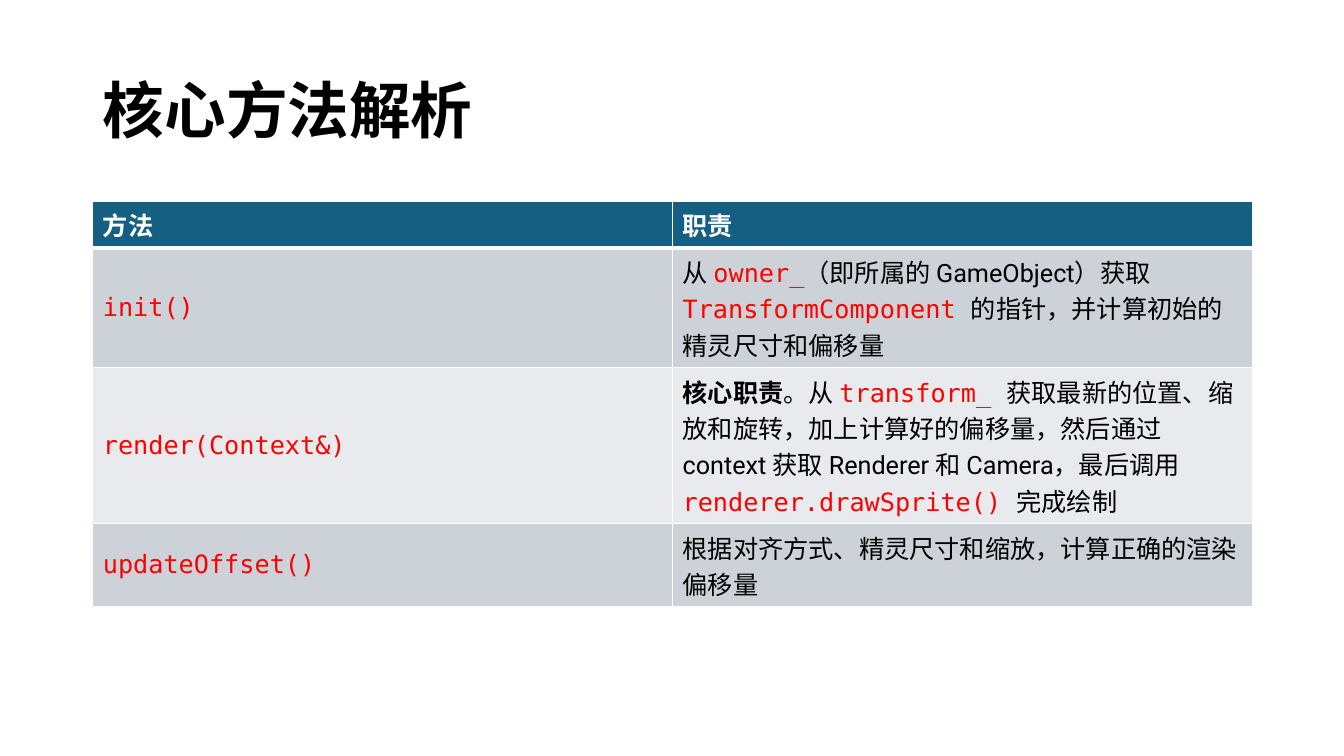
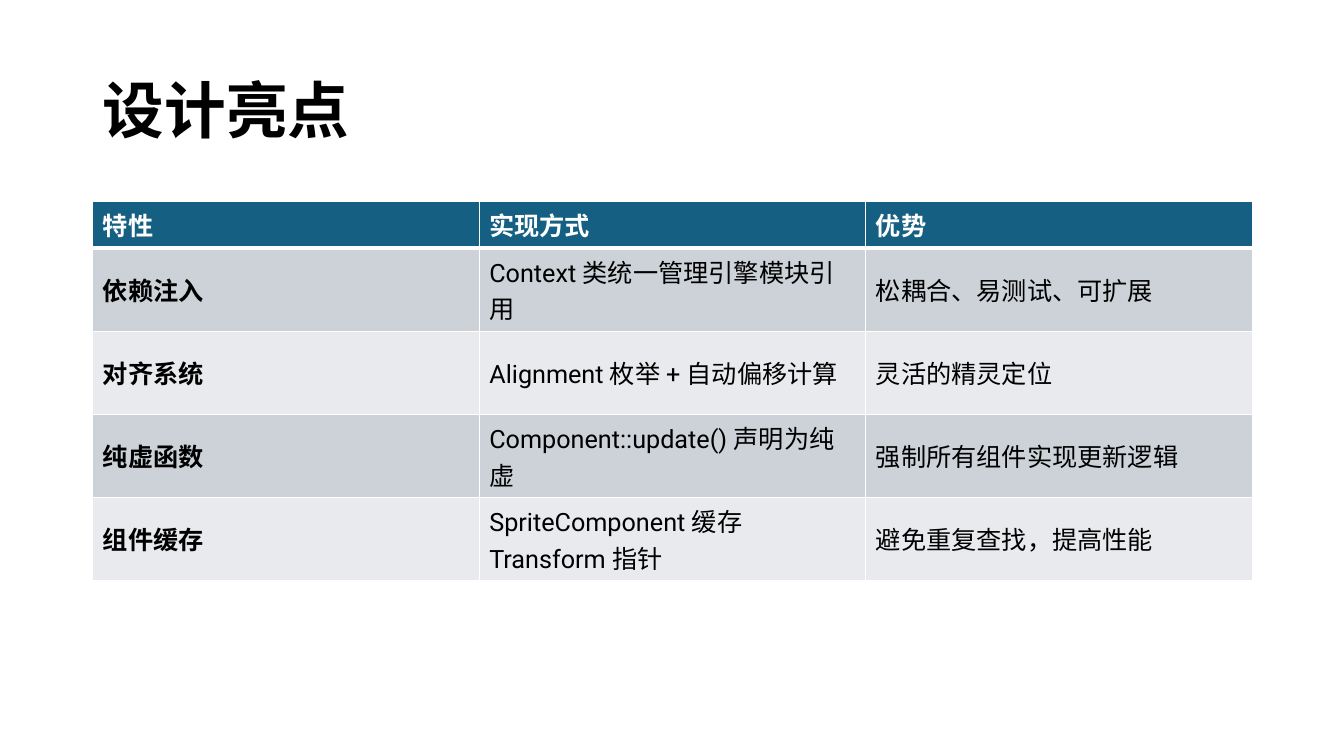
from lxml.etree import SubElement
from pptx import Presentation
from pptx.dml.color import RGBColor
from pptx.enum.text import MSO_ANCHOR, PP_ALIGN
from pptx.oxml.ns import qn
from pptx.util import Inches, Pt

WHITE = RGBColor(0xFF, 0xFF, 0xFF)
BLACK = RGBColor(0, 0, 0)
RED = RGBColor(0xFF, 0, 0)
HEADER_BLUE = RGBColor(0x15, 0x60, 0x82)
BANDS = (RGBColor(0xCC, 0xD2, 0xD8), RGBColor(0xE8, 0xEA, 0xED))

TEXT_FONT = "Roboto"
STYLES = {
    "title": {"name": TEXT_FONT, "size": Pt(44), "bold": True},
    "header": {"name": TEXT_FONT, "size": Pt(18), "bold": True},
    "plain": {"name": TEXT_FONT, "size": Pt(18), "bold": False},
    "strong": {"name": TEXT_FONT, "size": Pt(18), "bold": True},
    "code": {"name": "DejaVu Sans Mono", "size": Pt(18), "bold": False},
}
COLORS = {"title": BLACK, "header": WHITE, "plain": BLACK, "strong": BLACK, "code": RED}

LEFT, WIDTH = Inches(0.92), Inches(11.5)
TITLE_TOP, TITLE_HEIGHT = Inches(0.4), Inches(1.45)
TABLE_TOP, ROW_HEIGHT = Inches(2), Inches(0.41)

SLIDES = [
    {
        "title": "核心方法解析",
        "header": ["方法", "职责"],
        "first_style": "code",
        "rows": [
            ["init()", [
                ("从 ", "plain"),
                ("owner_", "code"),
                ("（即所属的 GameObject）获取 ", "plain"),
                ("TransformComponent ", "code"),
                ("的指针，并计算初始的精灵尺寸和偏移量", "plain"),
            ]],
            ["render(Context&)", [
                ("核心职责", "strong"),
                ("。从 ", "plain"),
                ("transform_ ", "code"),
                ("获取最新的位置、缩放和旋转，加上计算好的偏移量，然后通过 context 获取 Renderer 和 Camera，最后调用 ", "plain"),
                ("renderer.drawSprite() ", "code"),
                ("完成绘制", "plain"),
            ]],
            ["updateOffset()", "根据对齐方式、精灵尺寸和缩放，计算正确的渲染偏移量"],
        ],
    },
    {
        "title": "设计亮点",
        "header": ["特性", "实现方式", "优势"],
        "first_style": "strong",
        "rows": [
            ["依赖注入", "Context 类统一管理引擎模块引用", "松耦合、易测试、可扩展"],
            ["对齐系统", "Alignment 枚举 + 自动偏移计算", "灵活的精灵定位"],
            ["纯虚函数", "Component::update() 声明为纯虚", "强制所有组件实现更新逻辑"],
            ["组件缓存", "SpriteComponent 缓存 Transform 指针", "避免重复查找，提高性能"],
        ],
    },
]


def write(frame, content, style):
    spans = [(content, style)] if isinstance(content, str) else content
    para = frame.paragraphs[0]
    for text, span_style in spans:
        span = para.add_run()
        span.text = text
        for key, value in STYLES[span_style].items():
            setattr(span.font, key, value)
        span.font.color.rgb = COLORS[span_style]
    return para


def add_borders(cell, row):
    properties = cell._tc.get_or_add_tcPr()
    widths = {"lnL": 1, "lnR": 1, "lnT": 3 if row == 1 else 1, "lnB": 3 if row == 0 else 1}
    for side, width in widths.items():
        line = SubElement(properties, qn("a:" + side), w=str(Pt(width)))
        fill = SubElement(line, qn("a:solidFill"))
        SubElement(fill, qn("a:srgbClr"), val=str(WHITE))


def add_title(page, text):
    title = page.shapes.title
    title.left, title.top, title.width, title.height = LEFT, TITLE_TOP, WIDTH, TITLE_HEIGHT
    title.text_frame.vertical_anchor = MSO_ANCHOR.MIDDLE
    para = write(title.text_frame, text, "title")
    para.alignment = PP_ALIGN.LEFT
    para.line_spacing = 0.9


def add_grid(page, header, rows, first_style):
    lines = [header] + rows
    table = page.shapes.add_table(
        len(lines), len(header), LEFT, TABLE_TOP, WIDTH, ROW_HEIGHT * len(lines)
    ).table
    for row, line in enumerate(lines):
        for column, content in enumerate(line):
            cell = table.cell(row, column)
            add_borders(cell, row)
            cell.fill.solid()
            cell.fill.fore_color.rgb = BANDS[(row - 1) % 2] if row else HEADER_BLUE
            cell.vertical_anchor = MSO_ANCHOR.MIDDLE
            body_style = "plain" if column else first_style
            write(cell.text_frame, content, body_style if row else "header")


def main():
    deck = Presentation()
    deck.slide_width, deck.slide_height = Inches(13.33), Inches(7.5)
    for content in SLIDES:
        page = deck.slides.add_slide(deck.slide_layouts[5])
        add_title(page, content["title"])
        add_grid(page, content["header"], content["rows"], content["first_style"])
    deck.save("out.pptx")


if __name__ == "__main__":
    main()
